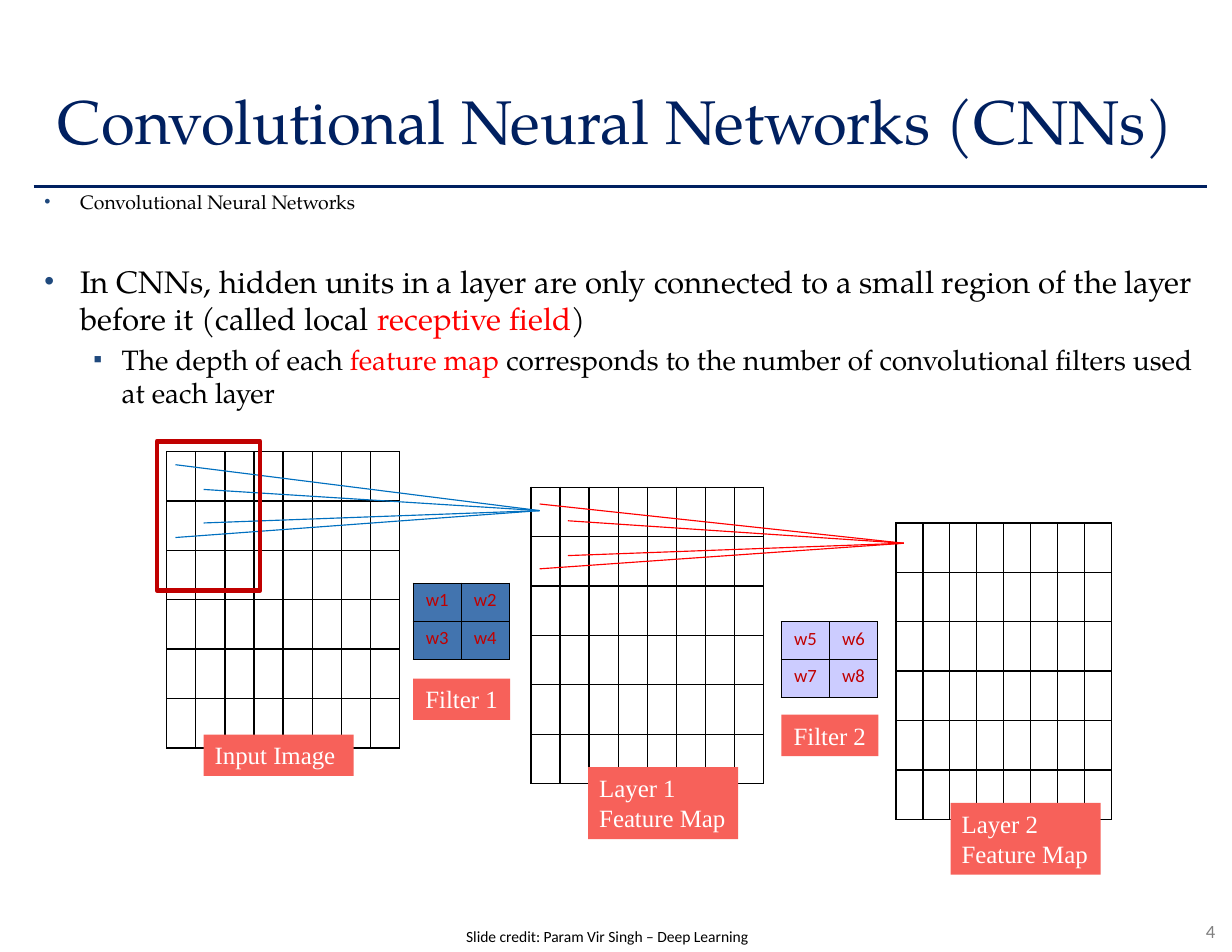
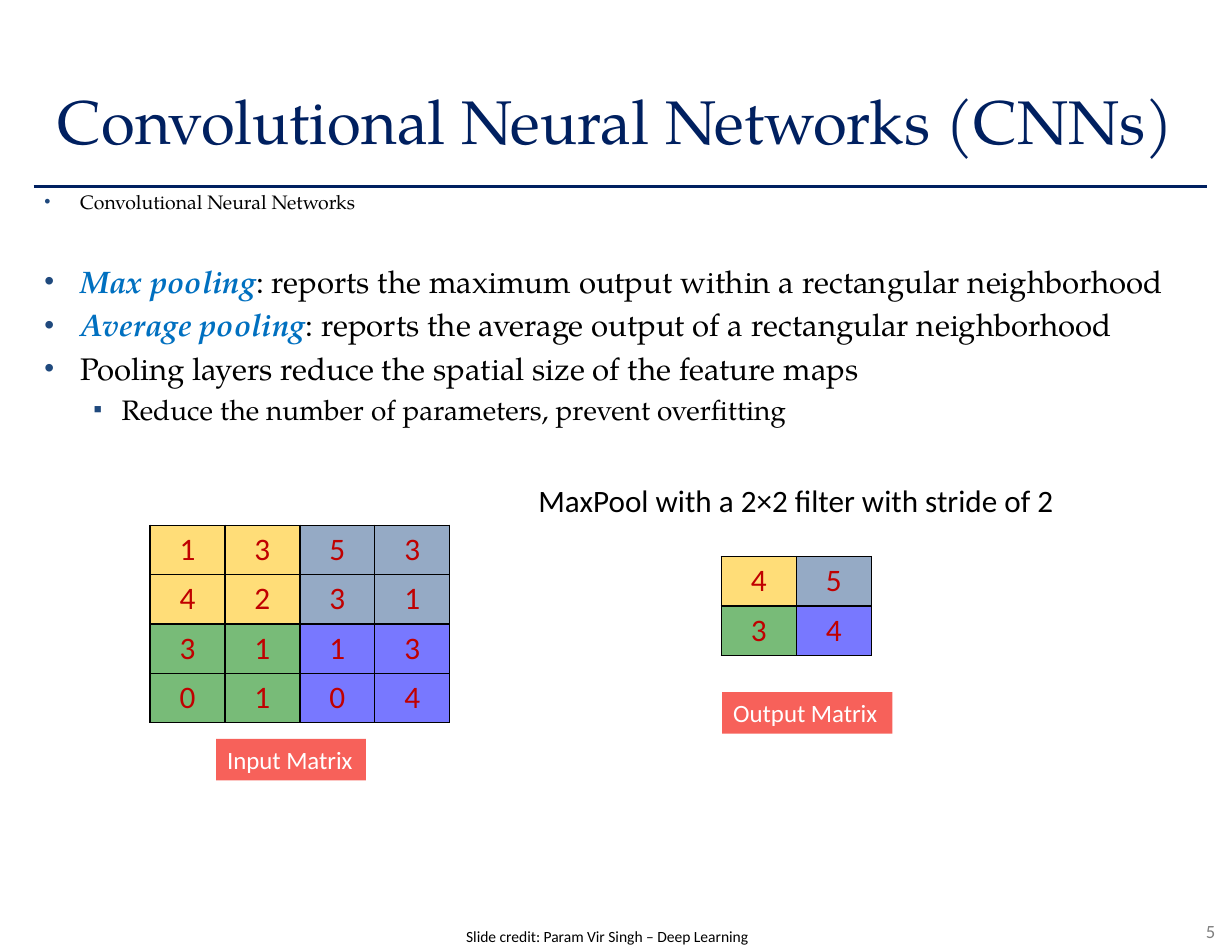
"""Build two slides on convolutional neural networks."""
from lxml import etree
from pptx import Presentation
from pptx import util as u
from pptx.dml.color import RGBColor
from pptx.enum import shapes, text
from pptx.oxml.ns import qn

SERIF, SANS, ROMAN = "TeX Gyre Pagella", "Calibri", "Times New Roman"
NAVY, BLACK, WHITE, GREY = "002060", "000000", "FFFFFF", "808080"
RED, DARK, BLUE, CORAL, MARK = "FF0000", "C00000", "0070C0", "F7615A", "1F497D"
LEFT, MID, RIGHT = text.PP_ALIGN.LEFT, text.PP_ALIGN.CENTER, text.PP_ALIGN.RIGHT

TITLE = "Convolutional Neural Networks (CNNs)"
TOPIC = "Convolutional Neural Networks"
CREDIT = "Slide credit: Param Vir Singh – Deep Learning"

LEVELS = [("•", 0.81, -0.81, 20), ("▪", 1.75, -0.64, 18)]
LOOKS = {"": (BLACK, False), "red": (RED, False), "key": (BLUE, True)}

CNN = [
    (0, [("In CNNs, hidden units in a layer are only connected to a small region "
          "of the layer before it (called local ", ""),
         ("receptive field", "red"), (")", "")]),
    (1, [("The depth of each ", ""), ("feature map ", "red"),
         ("corresponds to the number of convolutional filters used at each layer", "")]),
]
POOL = [
    (0, [("Max pooling", "key"),
         (": reports the maximum output within a rectangular neighborhood", "")]),
    (0, [("Average pooling", "key"),
         (": reports the average output of a rectangular neighborhood", "")]),
    (0, [("Pooling layers reduce the spatial size of the feature maps", "")]),
    (1, [("Reduce the number of parameters, prevent overfitting", "")]),
]

MAPS = [(3.78, 10.24, 0.66), (12.04, 11.05, 0.66), (20.32, 11.86, 0.61)]
MAP_TAGS = [("Input Image", 4.62, 16.66, 0.94),
            ("Layer 1 Feature Map", 13.34, 17.4, 1.63),
            ("Layer 2 Feature Map", 21.56, 18.21, 1.63)]
FILTERS = [
    ([["w1", "w2"], ["w3", "w4"]], 9.37, 13.23, "4274AF", "Filter 1", 15.39),
    ([["w5", "w6"], ["w7", "w8"]], 17.72, 14.1, "CCCCFF", "Filter 2", 16.21),
]
FANS = [(BLUE, 12.24, 11.58, [10.54, 11.1, 11.86, 12.19]),
        (RED, 20.5, 12.32, [11.43, 11.81, 12.6, 12.9])]
REACH = [8.26, 7.62, 7.62, 8.26]

INPUT = [[1, 3, 5, 3], [4, 2, 3, 1], [3, 1, 1, 3], [0, 1, 0, 4]]
OUTPUT = [[4, 5], [3, 4]]
QUADS = [["FFC000", "376092"], ["008000", "0000FF"]]


def rgb(code):
    return RGBColor.from_string(code)


def cm(*vals):
    return [u.Cm(v) for v in vals]


def style(run, size, font, color, strong=False):
    run.font.size, run.font.name = u.Pt(size), font
    run.font.color.rgb = rgb(color)
    run.font.bold = run.font.italic = strong


def write(frame, words, size, font, color, align=LEFT):
    frame.word_wrap = True
    frame.text = words
    para = frame.paragraphs[0]
    para.alignment = align
    style(para.runs[0], size, font, color)


def label(slide, words, box, size, font, color, align=LEFT):
    frame = slide.shapes.add_textbox(*cm(*box)).text_frame
    write(frame, words, size, font, color, align)
    return frame


def tag(slide, words, box, font, align=LEFT):
    rect = slide.shapes.add_shape(shapes.MSO_SHAPE.RECTANGLE, *cm(*box))
    rect.shadow.inherit = False
    rect.fill.solid()
    rect.fill.fore_color.rgb = rgb(CORAL)
    rect.line.fill.background()
    rect.text_frame.vertical_anchor = text.MSO_ANCHOR.TOP
    write(rect.text_frame, words, 16, font, WHITE, align)


def line(slide, start, end, color, width):
    link = slide.shapes.add_connector(
        shapes.MSO_CONNECTOR.STRAIGHT, *cm(*start, *end))
    link.line.color.rgb = rgb(color)
    link.line.width = u.Pt(width)
    etree.SubElement(link._element.spPr, qn("a:effectLst"))


def bullets(slide, items, box, size=None):
    frame = slide.shapes.add_textbox(*cm(*box)).text_frame
    frame.word_wrap = True
    for i, (level, runs) in enumerate(items):
        para = frame.add_paragraph() if i else frame.paragraphs[0]
        sign, margin, indent, points = LEVELS[level]
        points = size or points
        para.level = level
        para.space_before = u.Pt(points * 0.2)
        props = para._p.get_or_add_pPr()
        props.set("marL", str(u.Cm(margin)))
        props.set("indent", str(u.Cm(indent)))
        color = etree.SubElement(props, qn("a:buClr"))
        etree.SubElement(color, qn("a:srgbClr"), val=MARK)
        etree.SubElement(props, qn("a:buSzPct"), val="90000")
        etree.SubElement(props, qn("a:buFont"), typeface="Arial")
        etree.SubElement(props, qn("a:buChar"), char=sign)
        for words, look in runs:
            run = para.add_run()
            run.text = words
            style(run, points, SERIF, *LOOKS[look])


def border(cell):
    props = cell._tc.get_or_add_tcPr()
    for i, side in enumerate(("lnL", "lnR", "lnT", "lnB")):
        edge = etree.Element(qn("a:" + side), w=str(u.Pt(1)))
        fill = etree.SubElement(edge, qn("a:solidFill"))
        etree.SubElement(fill, qn("a:srgbClr"), val=BLACK)
        props.insert(i, edge)


def grid(slide, rows, left, top, wide, high, size=20, paint=None, alpha=None):
    count, cols = len(rows), len(rows[0])
    table = slide.shapes.add_table(
        count, cols, *cm(left, top, wide * cols, high * count)).table
    table.first_row = table.horz_banding = False
    for col in table.columns:
        col.width = u.Cm(wide)
    for r, row in enumerate(rows):
        table.rows[r].height = u.Cm(high)
        for c, value in enumerate(row):
            cell = table.cell(r, c)
            if paint:
                cell.fill.solid()
                cell.fill.fore_color.rgb = rgb(paint(r, c))
                write(cell.text_frame, str(value), size, SANS, DARK, MID)
            else:
                cell.fill.background()
            if alpha:
                tint = cell._tc.tcPr.find(".//" + qn("a:srgbClr"))
                etree.SubElement(tint, qn("a:alpha"), val=str(alpha * 1000))
            border(cell)


def base(deck, number, items):
    slide = deck.slides.add_slide(deck.slide_layouts[6])
    label(slide, str(number), (24.74, 20.73, 3.07, 0.76), 12, SANS, GREY, RIGHT)
    line(slide, (0.76, 4.22), (27.38, 4.22), NAVY, 2)
    head = label(slide, TITLE, (0, 1.27, 27.94, 2.92), 39.6, SERIF, NAVY, MID)
    head.vertical_anchor = text.MSO_ANCHOR.MIDDLE
    bullets(slide, items, (0.76, 5.82, 26.62, 14.91))
    bullets(slide, [(0, [(TOPIC, "")])], (0.76, 4.19, 17.2, 0.97), 12.5)
    label(slide, CREDIT, (4.17, 20.9, 19.2, 0.69), 10, SANS, BLACK, MID)
    return slide


def layers(deck):
    slide = base(deck, 4, CNN)
    for left, top, wide in MAPS:
        grid(slide, [[""] * 8] * 6, left, top, wide, 1.12)
    for color, tip, mid, ys in FANS:
        for reach, y in zip(REACH, ys):
            line(slide, (tip - reach, y), (tip, mid), color, 0.75)
    for words, left, top, high in MAP_TAGS:
        tag(slide, words, (left, top, 3.4, high), ROMAN)
    for rows, left, top, color, words, low in FILTERS:
        grid(slide, rows, left, top, 1.09, 0.86, 12, lambda r, c: color)
        tag(slide, words, (left, low, 2.2, 0.94), ROMAN, MID)
    field = slide.shapes.add_shape(
        shapes.MSO_SHAPE.RECTANGLE, *cm(3.56, 10.01, 2.34, 3.38))
    field.shadow.inherit = False
    field.fill.background()
    field.line.color.rgb = rgb(DARK)
    field.line.width = u.Pt(3)


def pooling(deck):
    slide = base(deck, 5, POOL)
    for rows, left, top in ((INPUT, 3.4, 11.91), (OUTPUT, 16.36, 12.62)):
        half = len(rows) // 2
        grid(slide, rows, left, top, 1.7, 1.12, 20.1,
             lambda r, c: QUADS[r // half][c // half], 53)
    label(slide, "MaxPool with a 2×2 filter with stride of 2",
          (11.96, 10.8, 13.74, 1.12), 20, SANS, BLACK)
    tag(slide, "Input Matrix", (4.9, 16.76, 3.4, 0.94), SANS)
    tag(slide, "Output Matrix", (16.38, 15.7, 3.86, 0.94), SANS)


def main():
    deck = Presentation()
    deck.slide_width, deck.slide_height = cm(27.94, 21.59)
    layers(deck)
    pooling(deck)
    deck.save("out.pptx")


if __name__ == "__main__":
    main()
